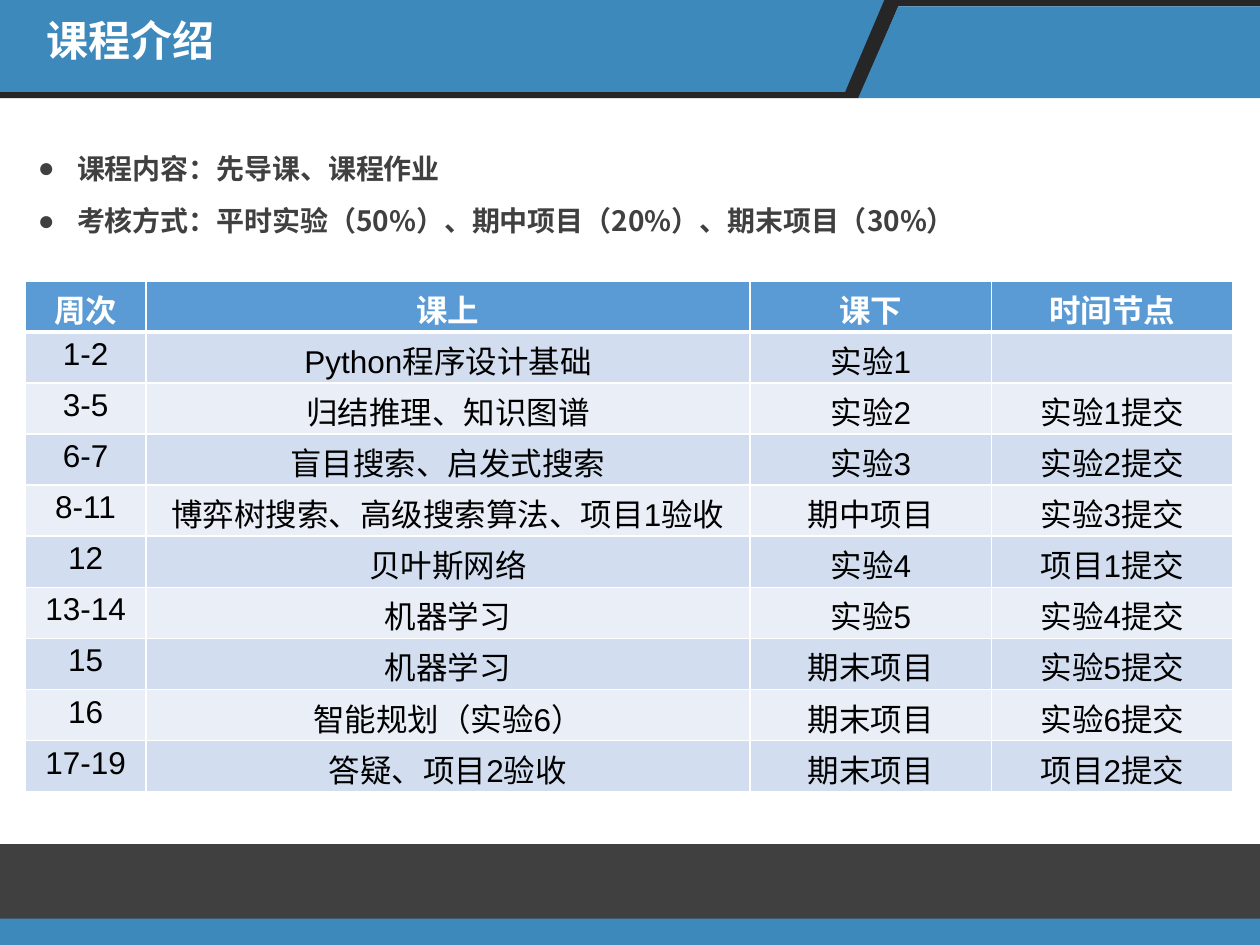
from lxml import etree
from pptx import Presentation
from pptx.dml.color import RGBColor
from pptx.enum.shapes import MSO_SHAPE
from pptx.enum.text import MSO_ANCHOR, MSO_AUTO_SIZE, PP_ALIGN
from pptx.oxml.ns import qn
from pptx.util import Cm, Pt

BLUE = RGBColor(0x3D, 0x89, 0xBC)
BLACK = RGBColor(0, 0, 0)
NEAR_BLACK = RGBColor(0x26, 0x26, 0x26)
GRAY = RGBColor(0x40, 0x40, 0x40)
WHITE = RGBColor(0xFF, 0xFF, 0xFF)
HEADER_BLUE = RGBColor(0x5B, 0x9B, 0xD5)
BANDS = (RGBColor(0xD2, 0xDE, 0xEF), RGBColor(0xEA, 0xEF, 0xF7))
CJK_FONT = "Noto Sans CJK SC"
TABLE_FONT = "Arial"

TITLE = "课程介绍"
BULLETS = (
    "课程内容：先导课、课程作业",
    "考核方式：平时实验（50%）、期中项目（20%）、期末项目（30%）",
)
SCHEDULE = (
    ("周次", "课上", "课下", "时间节点"),
    ("1-2", "Python程序设计基础", "实验1", ""),
    ("3-5", "归结推理、知识图谱", "实验2", "实验1提交"),
    ("6-7", "盲目搜索、启发式搜索", "实验3", "实验2提交"),
    ("8-11", "博弈树搜索、高级搜索算法、项目1验收", "期中项目", "实验3提交"),
    ("12", "贝叶斯网络", "实验4", "项目1提交"),
    ("13-14", "机器学习", "实验5", "实验4提交"),
    ("15", "机器学习", "期末项目", "实验5提交"),
    ("16", "智能规划（实验6）", "期末项目", "实验6提交"),
    ("17-19", "答疑、项目2验收", "期末项目", "项目2提交"),
)
COLUMN_WIDTHS = (2.43, 12.18, 4.87, 4.87)
ROW_HEIGHT = 1.03

BANNER = (
    (BLUE, ((0, 0), (17.91, 0), (17.12, 1.85), (0, 1.85))),
    (NEAR_BLACK, ((18.01, 0), (25.4, 0), (25.4, 0.13), (18.11, 0.13), (17.32, 1.98),
                  (0, 1.98), (0, 1.85), (17.04, 1.85), (17.83, 0))),
    (BLUE, ((18.11, 0.13), (25.4, 0.13), (25.4, 1.98), (17.3, 1.98))),
)
FOOTER = ((GRAY, 17.02, 1.52), (BLUE, 18.52, 0.53))


def paint(shape, color):
    shape.shadow.inherit = False
    shape.fill.solid()
    shape.fill.fore_color.rgb = color
    shape.line.fill.background()


def style(font, name, size, color, bold):
    font.name, font.size, font.bold = name, Pt(size), bold
    font.color.rgb = color


def place(placeholder, left, top, width, height):
    placeholder.left, placeholder.top = Cm(left), Cm(top)
    placeholder.width, placeholder.height = Cm(width), Cm(height)
    frame = placeholder.text_frame
    frame.word_wrap = True
    frame.auto_size = MSO_AUTO_SIZE.NONE
    frame.vertical_anchor = MSO_ANCHOR.TOP
    return frame


def write(paragraph, text, size, color):
    run = paragraph.add_run()
    run.text = text
    style(run.font, CJK_FONT, size, color, True)
    east_asian = etree.SubElement(run.font._element, qn("a:ea"))
    east_asian.set("typeface", CJK_FONT)
    paragraph.alignment = PP_ALIGN.LEFT
    paragraph.space_before = Pt(0)


def add_bullet(paragraph):
    properties = paragraph._p.get_or_add_pPr()
    properties.set("marL", str(Cm(0.79)))
    properties.set("indent", str(-Cm(0.79)))
    etree.SubElement(properties, qn("a:buFont")).set("typeface", TABLE_FONT)
    etree.SubElement(properties, qn("a:buChar")).set("char", "●")


def add_borders(cell, widths):
    properties = cell._tc.get_or_add_tcPr()
    for index, (side, width) in enumerate(zip(("lnL", "lnR", "lnT", "lnB"), widths)):
        line = etree.Element(qn("a:" + side), w=str(Pt(width)))
        fill = etree.SubElement(line, qn("a:solidFill"))
        etree.SubElement(fill, qn("a:srgbClr"), val=str(WHITE))
        properties.insert(index, line)


prs = Presentation()
prs.slide_width, prs.slide_height = Cm(25.4), Cm(19.05)
slide = prs.slides.add_slide(prs.slide_layouts[1])
shapes = slide.shapes
title, body = shapes.title, slide.placeholders[1]

for color, points in BANNER:
    builder = shapes.build_freeform(Cm(points[0][0]), Cm(points[0][1]))
    builder.add_line_segments([(Cm(x), Cm(y)) for x, y in points[1:]], close=True)
    paint(builder.convert_to_shape(), color)

for color, top, height in FOOTER:
    bar = shapes.add_shape(MSO_SHAPE.RECTANGLE, 0, Cm(top), prs.slide_width, Cm(height))
    paint(bar, color)

for placeholder in (title, body):
    shapes._spTree.append(placeholder._element)

title_line = place(title, 0.69, 0.28, 10.36, 1.57).paragraphs[0]
write(title_line, TITLE, 24, WHITE)
title_line.line_spacing = 0.9

body_frame = place(body, 0.51, 2.54, 24.36, 3.33)
for index, text in enumerate(BULLETS):
    paragraph = body_frame.add_paragraph() if index else body_frame.paragraphs[0]
    write(paragraph, text, 16, GRAY)
    paragraph.line_spacing = Pt(30)
    add_bullet(paragraph)

table = shapes.add_table(len(SCHEDULE), len(COLUMN_WIDTHS), Cm(0.51), Cm(5.66),
                         Cm(sum(COLUMN_WIDTHS)), Cm(ROW_HEIGHT * len(SCHEDULE))).table
for column, width in zip(table.columns, COLUMN_WIDTHS):
    column.width = Cm(width)
for r, texts in enumerate(SCHEDULE):
    table.rows[r].height = Cm(ROW_HEIGHT)
    for c, text in enumerate(texts):
        cell = table.cell(r, c)
        cell.margin_top, cell.margin_bottom = Cm(0.1), 0
        cell.text = text
        paragraph = cell.text_frame.paragraphs[0]
        paragraph.alignment = PP_ALIGN.CENTER
        for run in paragraph.runs:
            style(run.font, TABLE_FONT, 18, BLACK if r else WHITE, r == 0)
        cell.fill.solid()
        cell.fill.fore_color.rgb = BANDS[(r - 1) % 2] if r else HEADER_BLUE
        add_borders(cell, (1, 1, 3 if r == 1 else 1, 1 if r else 3))

prs.save("out.pptx")
